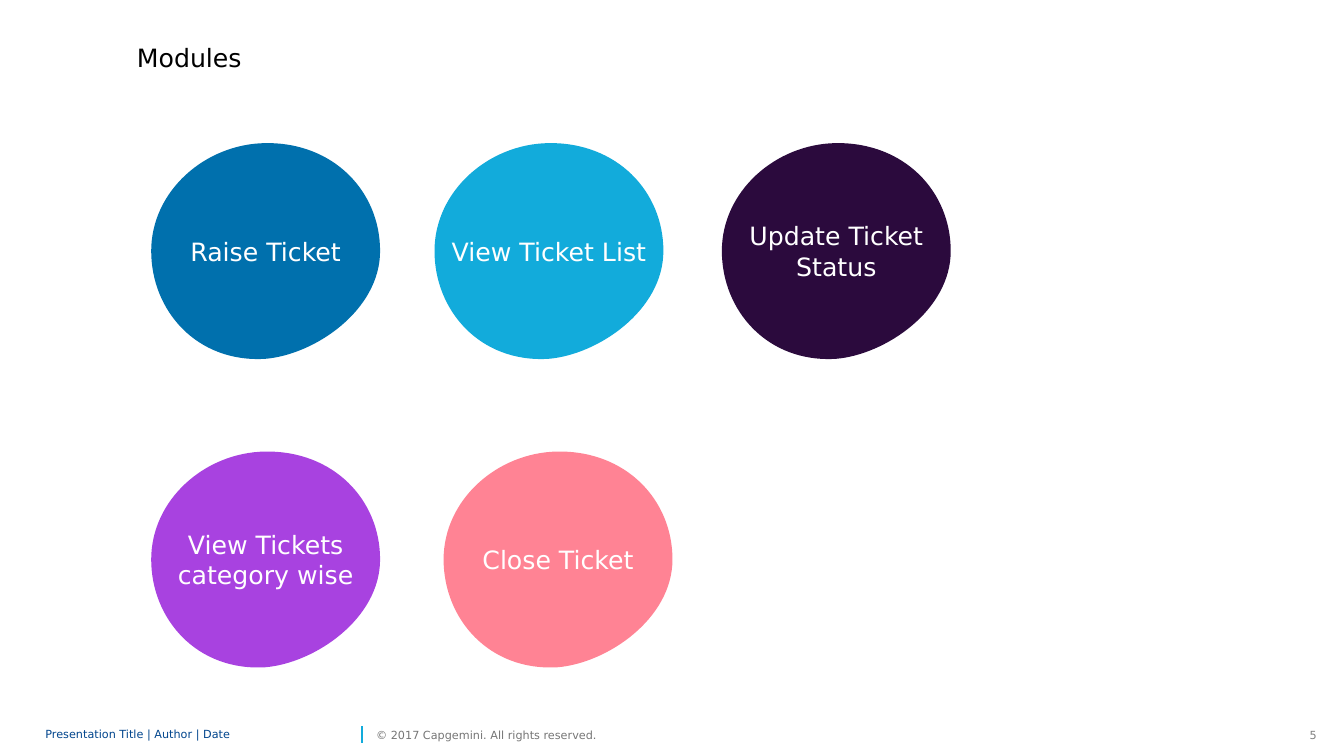
from pptx import Presentation
from pptx.dml.color import RGBColor
from pptx.enum.shapes import MSO_CONNECTOR as Connector
from pptx.enum.text import MSO_ANCHOR as Anchor, PP_ALIGN as Align
from pptx.oxml.ns import qn
from pptx.util import Inches, Pt
from lxml.etree import SubElement

THEME = {
    "font": "DejaVu Sans", "body": 18, "footer": 8,
    "title": "000000", "label": "FFFFFF", "divider": "12ABDB",
    "deck": "00458D", "copyright": "767676", "number": "808080",
}
MODULE_ROWS = [
    (1.42, [(1.5, "Raise Ticket", "0070AD"),
            (4.31, "View Ticket List", "12ABDB"),
            (7.16, "Update Ticket Status", "2B0A3D")]),
    (4.48, [(1.5, "View Tickets category wise", "A842E0"),
            (4.4, "Close Ticket", "FF8394")]),
]
UNITS_PER_INCH = 100
BLOB_START = (0, 107)
BLOB_CURVES = [
    ((0, 48), (53, 1), (113, 0)),
    ((181, -1), (227, 48), (227, 107)),
    ((227, 166), (162, 210), (113, 214)),
    ((45, 218), (0, 166), (0, 107)),
]
FOOTER_TOP, FOOTER_HEIGHT = 7.17, 0.24
FOOTER = [
    (0.45, 3.09, "Presentation Title | Author | Date", "deck", Align.LEFT, 0.85),
    (3.73, 2.43, "© 2017 Capgemini. All rights reserved.", "copyright", Align.LEFT, 1.0),
    (12.79, 0.27, "5", "number", Align.RIGHT, 1.0),
]


def write(shape, text, size, color, align):
    frame = shape.text_frame
    frame.text = text
    frame.word_wrap = True
    frame.vertical_anchor = Anchor.MIDDLE
    paragraph = frame.paragraphs[0]
    paragraph.alignment = align
    font = paragraph.runs[0].font
    font.name = THEME["font"]
    font.size = Pt(THEME[size])
    font.color.rgb = RGBColor.from_string(THEME[color])
    return frame


def add_text(slide, left, top, width, height, *content):
    box = slide.shapes.add_textbox(*map(Inches, (left, top, width, height)))
    return write(box, *content)


def round_edges(blob):
    edges = list(blob._element.iter(qn("a:lnTo")))
    for edge, curve in zip(edges, BLOB_CURVES):
        edge.tag = qn("a:cubicBezTo")
        for point in list(edge):
            edge.remove(point)
        for x, y in curve:
            SubElement(edge, qn("a:pt"), x=str(x), y=str(y))


def add_module(slide, left, top, name, color):
    builder = slide.shapes.build_freeform(
        *BLOB_START, scale=Inches(1) / UNITS_PER_INCH)
    builder.add_line_segments([curve[-1] for curve in BLOB_CURVES], close=True)
    blob = builder.convert_to_shape(Inches(left), Inches(top))
    round_edges(blob)
    blob.shadow.inherit = False
    blob.fill.solid()
    blob.fill.fore_color.rgb = RGBColor.from_string(color)
    blob.line.fill.background()
    write(blob, name, "body", "label", Align.CENTER)


def add_footer(slide):
    for left, width, text, color, align, spacing in FOOTER:
        frame = add_text(slide, left, FOOTER_TOP, width, FOOTER_HEIGHT,
                         text, "footer", color, align)
        frame.paragraphs[0].line_spacing = spacing
        frame.margin_left = frame.margin_right = 0
        frame.margin_top = frame.margin_bottom = 0
    divider = slide.shapes.add_connector(
        Connector.STRAIGHT, *map(Inches, (3.59, 7.37, 3.59, 7.2)))
    divider.line.color.rgb = RGBColor.from_string(THEME["divider"])
    divider.line.width = Pt(1)
    SubElement(divider._element.spPr, qn("a:effectLst"))


def main():
    presentation = Presentation()
    presentation.slide_width = Inches(13.33)
    presentation.slide_height = Inches(7.5)
    slide = presentation.slides.add_slide(presentation.slide_layouts[6])
    add_footer(slide)
    add_text(slide, 1.26, 0.37, 6.27, 0.4, "Modules", "body", "title", Align.LEFT)
    for top, modules in MODULE_ROWS:
        for left, name, color in modules:
            add_module(slide, left, top, name, color)
    presentation.save("out.pptx")


if __name__ == "__main__":
    main()
